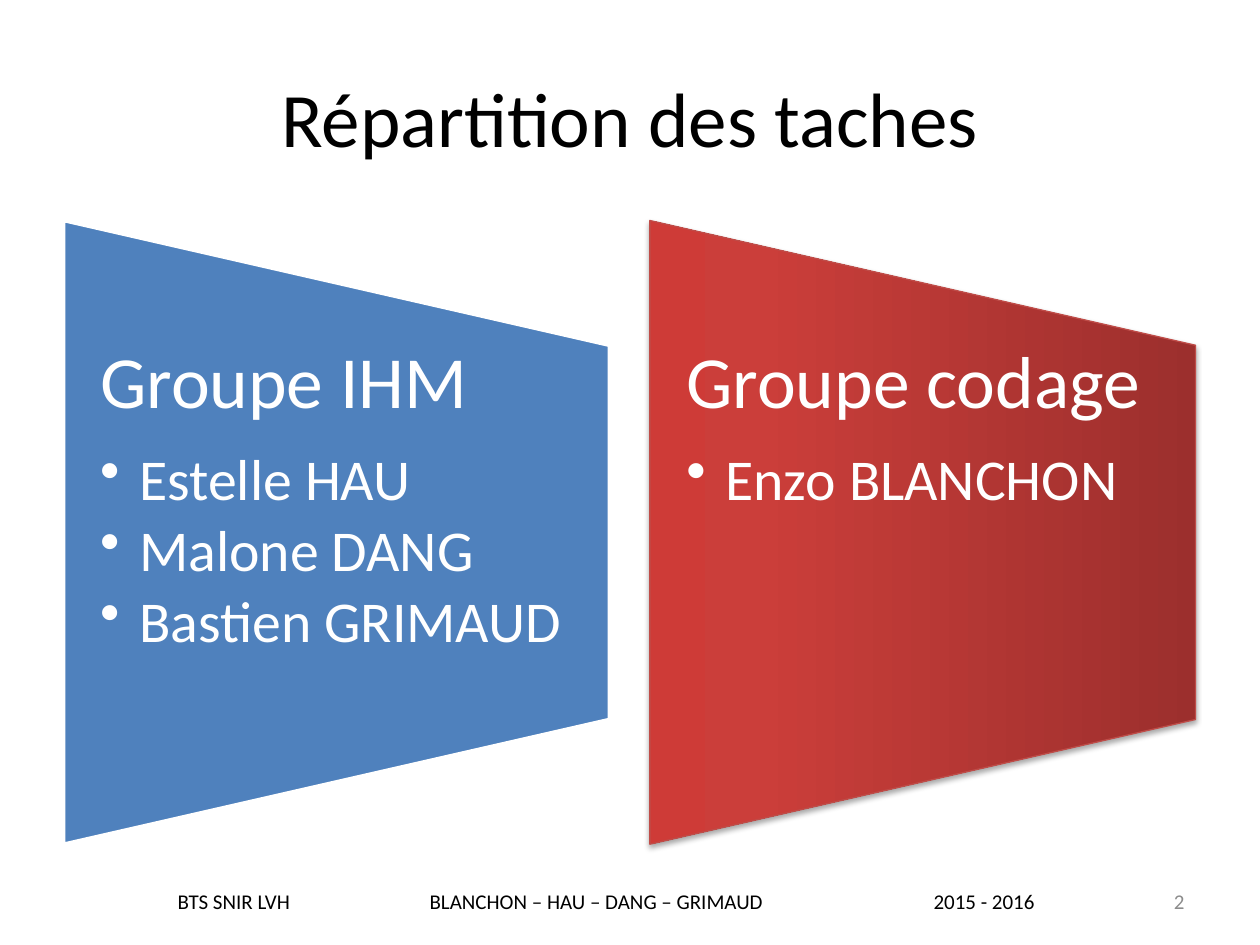
from lxml.etree import SubElement
from pptx import Presentation
from pptx.dml.color import RGBColor
from pptx.enum.shapes import MSO_SHAPE
from pptx.enum.text import MSO_ANCHOR, PP_ALIGN
from pptx.oxml import parse_xml
from pptx.oxml.ns import nsdecls, qn
from pptx.util import Pt

FONT = "Calibri"
PANEL_W, PANEL_H = 311.8, 356.4
PANEL_TOP, PANEL_STEP = 126, 335
INSET = 20.9
INDENT = 22.3


def rgb(value):
    return RGBColor.from_string(value)


def add_run(p, text, size, color):
    r = p.add_run()
    r.text = text
    r.font.name = FONT
    r.font.size = Pt(size)
    r.font.color.rgb = rgb(color)


def add_box(shapes, x, y, w, h, anchor=MSO_ANCHOR.MIDDLE):
    tf = shapes.add_textbox(Pt(x), Pt(y), Pt(w), Pt(h)).text_frame
    tf.word_wrap = True
    tf.vertical_anchor = anchor
    return tf


def add_line(s, x, y, w, h, text, size, align, color="000000"):
    p = add_box(s.shapes, x, y, w, h).paragraphs[0]
    p.alignment = align
    add_run(p, text, size, color)
    return p


def set_tabs(p, stops):
    tabs = SubElement(p._p.get_or_add_pPr(), qn("a:tabLst"))
    for stop in stops:
        SubElement(tabs, qn("a:tab"), pos=str(Pt(stop)), algn="l")


def set_bullet(p):
    pPr = p._p.get_or_add_pPr()
    pPr.set("marL", str(Pt(INDENT)))
    pPr.set("indent", str(-Pt(INDENT)))
    SubElement(pPr, qn("a:buChar"), char="•")


def set_gradient(sp, stops, angle):
    sp.fill.gradient()
    grad = sp._element.spPr.find(qn("a:gradFill"))
    gs_list = grad.find(qn("a:gsLst"))
    for gs in list(gs_list):
        gs_list.remove(gs)
    for pos, color in stops:
        gs = SubElement(gs_list, qn("a:gs"), pos=str(pos * 1000))
        SubElement(gs, qn("a:srgbClr"), val=color)
    grad.find(qn("a:lin")).set("ang", str(angle * 60000))


def set_shadow(sp):
    effects = sp._element.spPr.find(qn("a:effectLst"))
    effects.append(parse_xml(
        f'<a:outerShdw {nsdecls("a")} blurRad="{Pt(3.1)}" dist="{Pt(1.8)}" '
        'dir="5400000" rotWithShape="0"><a:srgbClr val="000000">'
        '<a:alpha val="35000"/></a:srgbClr></a:outerShdw>'))


def add_panel(shapes, x, line_color, line_width):
    shift = (PANEL_H - PANEL_W) / 2
    sp = shapes.add_shape(MSO_SHAPE.FLOWCHART_MANUAL_OPERATION,
                          Pt(x - shift), Pt(PANEL_TOP + shift),
                          Pt(PANEL_H), Pt(PANEL_W))
    sp.rotation = 270
    sp.shadow.inherit = False
    sp.line.color.rgb = rgb(line_color)
    sp.line.width = Pt(line_width)
    return sp


def add_team(shapes, x, heading, members):
    tf = add_box(shapes, x, PANEL_TOP + PANEL_H / 5, PANEL_W,
                 PANEL_H * 3 / 5, MSO_ANCHOR.TOP)
    tf.margin_left = tf.margin_right = Pt(INSET)
    tf.margin_top = tf.margin_bottom = 0
    p = tf.paragraphs[0]
    p.line_spacing = 0.9
    p.space_after = Pt(14.7)
    add_run(p, heading, 42, "FFFFFF")
    for member in members:
        p = tf.add_paragraph()
        p.level = 1
        p.line_spacing = 0.9
        p.space_after = Pt(5)
        set_bullet(p)
        add_run(p, member, 33, "FFFFFF")


def main():
    prs = Presentation()
    prs.slide_width, prs.slide_height = Pt(720), Pt(540)
    s = prs.slides.add_slide(prs.slide_layouts[6])

    add_line(s, 36, 21.6, 648, 90, "Répartition des taches", 44, PP_ALIGN.CENTER)

    left, right = 36.4, 36.4 + PANEL_STEP
    shapes = s.shapes.add_group_shape().shapes
    sp = add_panel(shapes, left, "FFFFFF", 2)
    sp.fill.solid()
    sp.fill.fore_color.rgb = rgb("4F81BD")
    add_team(shapes, left, "Groupe IHM",
             ["Estelle HAU", "Malone DANG", "Bastien GRIMAUD"])

    sp = add_panel(shapes, right, "BF4C48", 0.75)
    set_gradient(sp, [(0, "9C2F2D"), (80, "CB3E3A"), (100, "CE3B37")], 270)
    set_shadow(sp)
    add_team(shapes, right, "Groupe codage", ["Enzo BLANCHON"])

    footer = "BTS SNIR LVH\tBLANCHON – HAU – DANG – GRIMAUD\t2015 - 2016"
    p = add_line(s, 20.2, 500.5, 652.3, 28.8, footer, 12, PP_ALIGN.CENTER)
    set_tabs(p, [144, 432])
    add_line(s, 516, 500.5, 168, 28.8, "2", 12, PP_ALIGN.RIGHT, "8C8C8C")

    prs.save("out.pptx")


if __name__ == "__main__":
    main()
